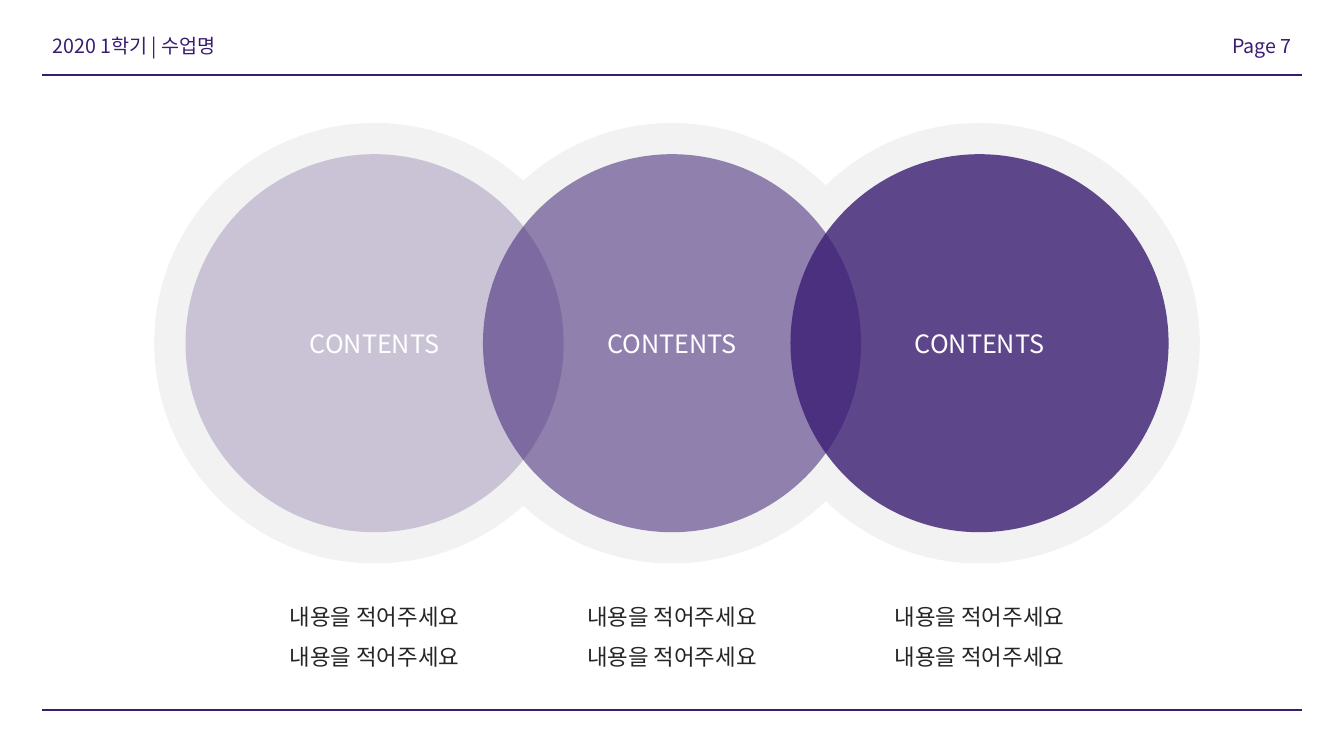
import pptx
import pptx.dml.color
import pptx.enum.shapes
import pptx.enum.text
import pptx.oxml.ns
import pptx.util
import lxml.etree

WIDTH, HEIGHT = 13.33, 7.5
FONT = "Noto Sans CJK KR"
PURPLE, GREY, DARK, WHITE = "391C72", "F2F2F2", "262626", "FFFFFF"

HEADER = "2020 1학기 | 수업명"
PAGE_LABEL = "Page 7"
CAPTION = ["내용을 적어주세요", "내용을 적어주세요"]
STAGES = [
    {"center": 3.715, "opacity": 22, "label": "CONTENTS", "caption": CAPTION},
    {"center": 6.665, "opacity": 53, "label": "CONTENTS", "caption": CAPTION},
    {"center": 9.715, "opacity": 80, "label": "CONTENTS", "caption": CAPTION},
]

MARGIN = 0.42
RULES = [0.74, 7.04]
HEADER_TOP, HEADER_WIDTH, HEADER_HEIGHT = 0.29, 4.2, 0.34
CIRCLE_MIDDLE, HALO, DISC = 3.405, 4.37, 3.75
CAPTION_TOP, CAPTION_WIDTH, CAPTION_HEIGHT = 5.8, 2.47, 0.88

ALIGN = pptx.enum.text.PP_ALIGN
ANCHOR = pptx.enum.text.MSO_ANCHOR


def inches(*lengths):
    return [pptx.util.Inches(length) for length in lengths]


def color(code):
    return pptx.dml.color.RGBColor.from_string(code)


def add_child(parent, tag, **attributes):
    return lxml.etree.SubElement(parent, pptx.oxml.ns.qn(tag), **attributes)


def write(shape, lines, size, code, align, anchor=ANCHOR.TOP, spacing=1.0):
    frame = shape.text_frame
    frame.word_wrap = True
    frame.auto_size = pptx.enum.text.MSO_AUTO_SIZE.NONE
    frame.vertical_anchor = anchor
    for index, line in enumerate(lines):
        para = frame.add_paragraph() if index else frame.paragraphs[0]
        para.alignment = align
        para.line_spacing = spacing
        span = para.add_run()
        span.text = line
        span.font.size = pptx.util.Pt(size)
        span.font.name = FONT
        span.font.color.rgb = color(code)
        add_child(span.font._element, "a:ea", typeface=FONT)


def add_circle(page, center, diameter, code, opacity=100):
    left, top = center - diameter / 2, CIRCLE_MIDDLE - diameter / 2
    circle = page.shapes.add_shape(
        pptx.enum.shapes.MSO_SHAPE.OVAL, *inches(left, top, diameter, diameter))
    circle.shadow.inherit = False
    circle.line.fill.background()
    circle.fill.solid()
    circle.fill.fore_color.rgb = color(code)
    if opacity < 100:
        tint = circle._element.spPr.find(".//" + pptx.oxml.ns.qn("a:srgbClr"))
        add_child(tint, "a:alpha", val=str(opacity * 1000))
    return circle


def add_rule(page, top):
    rule = page.shapes.add_connector(
        pptx.enum.shapes.MSO_CONNECTOR.STRAIGHT,
        *inches(MARGIN, top, WIDTH - MARGIN, top))
    rule.line.color.rgb = color(PURPLE)
    rule.line.width = pptx.util.Pt(1.5)
    add_child(rule._element.spPr, "a:effectLst")


def add_header(page):
    title = page.shapes.title
    title.left, title.top, title.width, title.height = inches(
        MARGIN, HEADER_TOP, HEADER_WIDTH, HEADER_HEIGHT)
    write(title, [HEADER], 14, PURPLE, ALIGN.LEFT)
    number = page.shapes.add_textbox(*inches(
        WIDTH - MARGIN - HEADER_WIDTH, HEADER_TOP, HEADER_WIDTH, HEADER_HEIGHT))
    write(number, [PAGE_LABEL], 14, PURPLE, ALIGN.RIGHT)


def main():
    deck = pptx.Presentation()
    deck.slide_width, deck.slide_height = inches(WIDTH, HEIGHT)
    page = deck.slides.add_slide(deck.slide_layouts.get_by_name("Title Only"))
    for stage in STAGES:
        add_circle(page, stage["center"], HALO, GREY)
    add_header(page)
    for top in RULES:
        add_rule(page, top)
    for stage in STAGES:
        disc = add_circle(page, stage["center"], DISC, PURPLE, stage["opacity"])
        write(disc, [stage["label"]], 18, WHITE, ALIGN.CENTER, ANCHOR.MIDDLE)
        box = page.shapes.add_textbox(*inches(
            stage["center"] - CAPTION_WIDTH / 2, CAPTION_TOP,
            CAPTION_WIDTH, CAPTION_HEIGHT))
        write(box, stage["caption"], 16, DARK, ALIGN.CENTER, spacing=1.5)
    deck.save("out.pptx")


if __name__ == "__main__":
    main()
